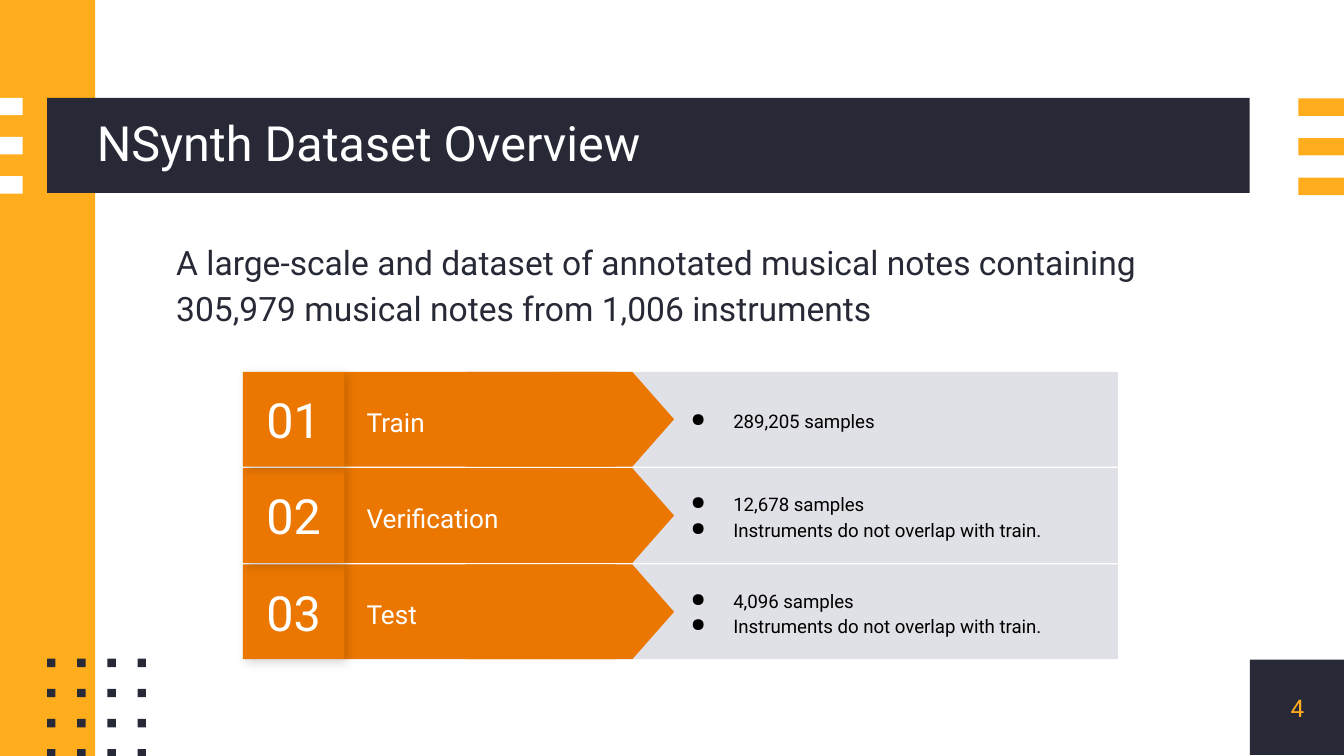
from lxml.etree import SubElement
from pptx import Presentation
from pptx.dml.color import RGBColor
from pptx.enum.shapes import MSO_SHAPE
from pptx.enum.text import MSO_ANCHOR, MSO_AUTO_SIZE, PP_ALIGN
from pptx.oxml.ns import qn
from pptx.util import Cm, Pt

ROWS = [
    ("01", "Train", ["289,205 samples"]),
    ("02", "Verification",
     ["12,678 samples", "Instruments do not overlap with train."]),
    ("03", "Test",
     ["4,096 samples", "Instruments do not overlap with train."]),
]


def color(value):
    return RGBColor.from_string(value)


def write(sp, lines, size=10, fill="000000", align=PP_ALIGN.LEFT,
          anchor=MSO_ANCHOR.MIDDLE, inset=0, spacing=1.15, before=0,
          bullet=False):
    tf = sp.text_frame
    tf.word_wrap = True
    tf.auto_size = MSO_AUTO_SIZE.NONE
    tf.vertical_anchor = anchor
    tf.margin_left = tf.margin_right = Cm(inset)
    tf.margin_top = tf.margin_bottom = Cm(inset)
    for i, line in enumerate(lines):
        p = tf.add_paragraph() if i else tf.paragraphs[0]
        p.alignment = align
        p.line_spacing = spacing
        p.space_before = Pt(before)
        r = p.add_run()
        r.text = line
        r.font.name = "Roboto"
        r.font.size = Pt(size)
        r.font.color.rgb = color(fill)
        pPr = p._p.get_or_add_pPr()
        pPr.set("marL", str(Cm(1.27) if bullet else 0))
        pPr.set("indent", str(Cm(-0.8) if bullet else 0))
        if bullet:
            SubElement(pPr, qn("a:buChar"), char="●")
        else:
            SubElement(pPr, qn("a:buNone"))


class Deck:
    dark = "272A36"
    yellow = "FFAD1D"
    orange = "EB7700"
    grey = "E0E0E7"
    white = "FFFFFF"

    def __init__(self):
        self.prs = Presentation()
        self.prs.slide_width = Cm(25.4)
        self.prs.slide_height = Cm(14.29)
        self.s = self.prs.slides.add_slide(self.prs.slide_layouts[1])

    def shape(self, x, y, w, h, fill, kind=MSO_SHAPE.RECTANGLE):
        sp = self.s.shapes.add_shape(kind, Cm(x), Cm(y), Cm(w), Cm(h))
        sp.shadow.inherit = False
        sp.fill.solid()
        sp.fill.fore_color.rgb = color(fill)
        sp.line.fill.background()
        return sp

    def pointer(self, x, y, w, h, fill):
        sp = self.shape(x + (w - h) / 2, y + (h - w) / 2, h, w, fill,
                        MSO_SHAPE.FLOWCHART_OFFPAGE_CONNECTOR)
        sp.rotation = 270

    def cast_shadow(self, sp):
        effects = sp._element.spPr.find(qn("a:effectLst"))
        shadow = SubElement(effects, qn("a:outerShdw"), blurRad=str(Pt(5.6)),
                            dist=str(Pt(2.2)), dir="2700000", algn="bl",
                            rotWithShape="0")
        clr = SubElement(shadow, qn("a:srgbClr"), val="000000")
        SubElement(clr, qn("a:alpha"), val="17000")

    def text(self, x, y, w, h, lines, **fmt):
        sp = self.s.shapes.add_textbox(Cm(x), Cm(y), Cm(w), Cm(h))
        write(sp, lines, **fmt)

    def placeholder(self, idx, x, y, w, h, lines, **fmt):
        sp = self.s.placeholders[idx]
        sp.left, sp.top, sp.width, sp.height = Cm(x), Cm(y), Cm(w), Cm(h)
        write(sp, lines, **fmt)
        self.s.shapes._spTree.append(sp._element)

    def decoration(self):
        self.shape(23.62, 12.47, 1.8, 1.8, self.dark)
        self.shape(0, 0, 1.8, 14.29, self.yellow)
        self.shape(0.89, 1.85, 22.73, 1.8, self.dark)
        for i in range(3):
            self.shape(0, 1.85 + 0.74 * i, 0.43, 0.33, self.white)
            self.shape(24.54, 1.86 + 0.75 * i, 0.86, 0.33, self.yellow)
        for row in range(4):
            for col in range(4):
                self.shape(0.89 + 0.57 * col, 12.45 + 0.57 * row,
                           0.16, 0.16, self.dark)

    def row(self, y, number, label, facts):
        h = 1.79
        self.shape(10.51, y, 10.62, h, self.grey)
        self.shape(6.5, y, 5.13, h, self.orange)
        self.pointer(8.8, y, 3.94, h, self.orange)
        sp = self.shape(6.68, y + 0.21, 5.38, 1.37, self.orange)
        write(sp, [label], size=14, fill=self.white, inset=0.25)
        sp = self.shape(4.59, y, 1.92, h, self.orange)
        self.cast_shadow(sp)
        write(sp, [number], size=26, fill=self.white, inset=0.25,
              align=PP_ALIGN.CENTER, spacing=1)
        self.text(12.34, y, 8.26, h, facts, inset=0.25, bullet=True)


def main():
    deck = Deck()
    deck.decoration()
    deck.placeholder(
        1, 3.33, 4.45, 18.47, 8.03,
        ["A large-scale and dataset of annotated musical notes containing "
         "305,979 musical notes from 1,006 instruments"],
        size=18, fill=deck.dark, anchor=MSO_ANCHOR.TOP, before=6)
    deck.text(23.62, 12.47, 1.8, 1.8, ["4"], size=13, fill=deck.yellow,
              align=PP_ALIGN.CENTER, spacing=1)
    deck.placeholder(0, 1.83, 1.85, 21.79, 1.8, ["NSynth Dataset Overview"],
                     size=26, fill=deck.white, spacing=0.9)
    for i, (number, label, facts) in reversed(list(enumerate(ROWS))):
        deck.row(7.03 + 1.82 * i, number, label, facts)
    deck.prs.save("out.pptx")


if __name__ == "__main__":
    main()
